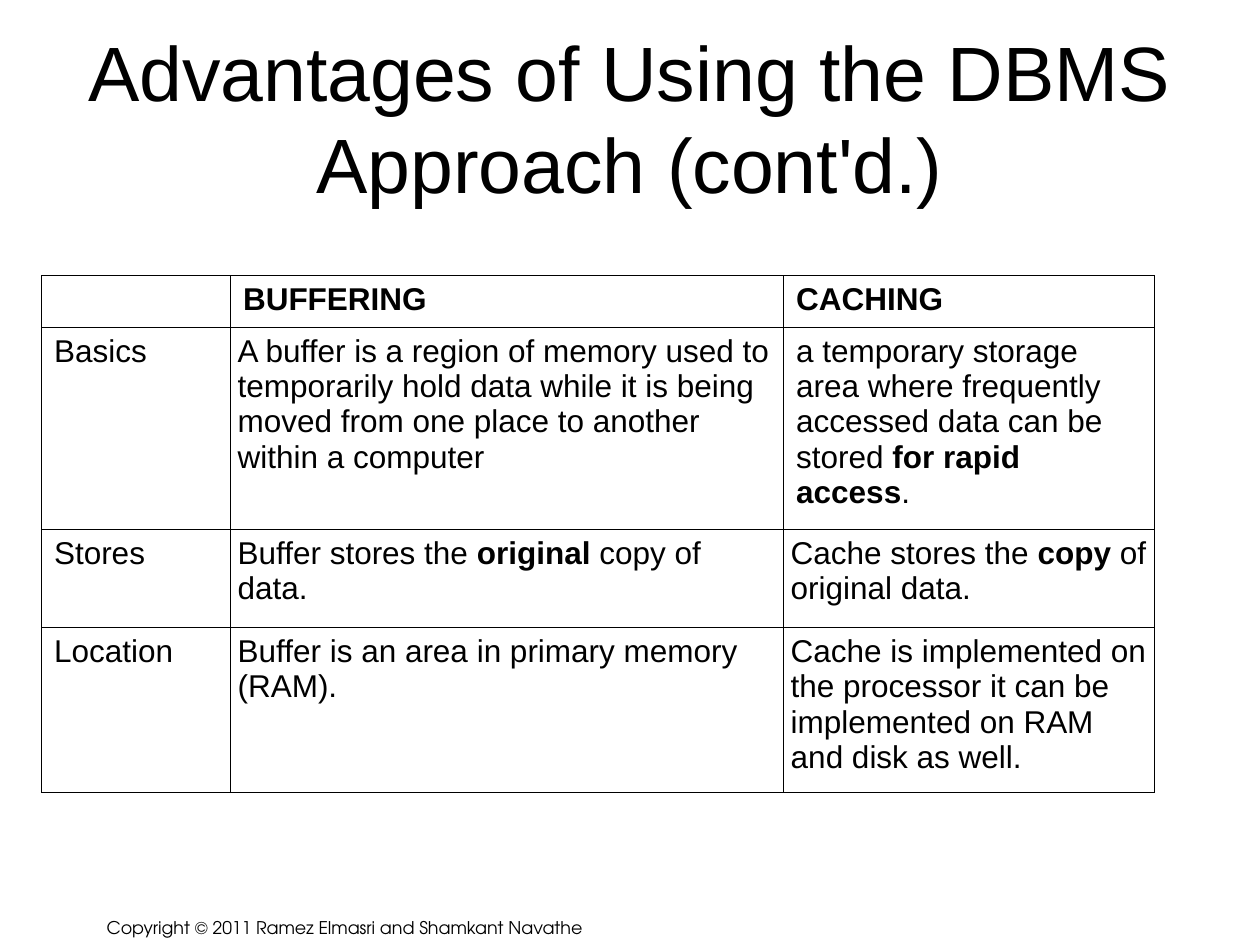
"""Build the slide that compares buffering with caching."""
from lxml.etree import SubElement
from pptx import Presentation
from pptx.dml.color import RGBColor
from pptx.enum.text import MSO_ANCHOR as Anchor, PP_ALIGN as Align
from pptx.oxml.ns import qn
from pptx.util import Cm, Pt

COLORS = {"text": "000000", "border": "000000", "page": "FFFFFF"}


def write_text(frame, text, size=18, font="Arial", bold=False, align=Align.LEFT,
               anchor=Anchor.TOP, side=0.25, edge=0.13):
    frame.word_wrap = True
    frame.vertical_anchor = anchor
    frame.margin_left = frame.margin_right = Cm(side)
    frame.margin_top = frame.margin_bottom = Cm(edge)
    para = frame.paragraphs[0]
    para.alignment = align
    for index, part in enumerate(text.split("**")):
        if part:
            span = para.add_run()
            span.text = part
            span.font.name = font
            span.font.size = Pt(size)
            span.font.bold = bold or index % 2 == 1
            span.font.color.rgb = RGBColor.from_string(COLORS["text"])


def add_borders(cell, width=0.45):
    properties = cell._tc.get_or_add_tcPr()
    for side in ("lnL", "lnR", "lnT", "lnB"):
        line = SubElement(properties, qn(f"a:{side}"), w=str(Pt(width)))
        fill = SubElement(line, qn("a:solidFill"))
        SubElement(fill, qn("a:srgbClr"), val=COLORS["border"])


deck = Presentation()
deck.slide_width, deck.slide_height = Cm(25.4), Cm(19.05)
page = deck.slides.add_slide(deck.slide_layouts[6])
page.background.fill.solid()
page.background.fill.fore_color.rgb = RGBColor.from_string(COLORS["page"])

copyright_box = page.shapes.add_textbox(Cm(1.9), Cm(18.21), Cm(18.19), Cm(0.84))
write_text(copyright_box.text_frame, "Copyright © 2011 Ramez Elmasri and Shamkant Navathe",
           size=10, font="TeX Gyre Adventor", anchor=Anchor.BOTTOM)

title_box = page.shapes.add_textbox(Cm(1.27), Cm(0.76), Cm(22.86), Cm(3.18))
write_text(title_box.text_frame, "Advantages of Using the DBMS Approach (cont'd.)",
           size=44, align=Align.CENTER, anchor=Anchor.MIDDLE, side=0, edge=0)

ROWS = [
    ("", "BUFFERING", "CACHING"),
    ("Basics",
     "A buffer is a region of memory used to temporarily hold data while it is "
     "being moved from one place to another within a computer",
     "a temporary storage area where frequently accessed data can be stored "
     "**for rapid access**."),
    ("Stores",
     "Buffer stores the **original** copy of data.",
     "Cache stores the **copy** of original data."),
    ("Location",
     "Buffer is an area in primary memory (RAM).",
     "Cache is implemented on the processor it can be implemented on RAM "
     "and disk as well."),
]
COLUMN_WIDTHS = [3.81, 11.15, 7.47]
ROW_HEIGHTS = [1.04, 4.06, 1.98, 3.33]
WIDE_MARGIN_CELLS = {(0, 1), (0, 2), (1, 2)}

table = page.shapes.add_table(
    len(ROWS), len(COLUMN_WIDTHS), Cm(0.84), Cm(5.56),
    Cm(sum(COLUMN_WIDTHS)), Cm(sum(ROW_HEIGHTS))).table
table.first_row = table.horz_banding = False
for column, width in zip(table.columns, COLUMN_WIDTHS):
    column.width = Cm(width)
for row_index, (texts, height) in enumerate(zip(ROWS, ROW_HEIGHTS)):
    table.rows[row_index].height = Cm(height)
    for column_index, text in enumerate(texts):
        cell = table.cell(row_index, column_index)
        wide = column_index == 0 or (row_index, column_index) in WIDE_MARGIN_CELLS
        side = 0.25 if wide else 0.14
        add_borders(cell)
        cell.fill.background()
        cell.margin_left = cell.margin_right = Cm(side)
        cell.margin_top = cell.margin_bottom = Cm(0.13)
        write_text(cell.text_frame, text, bold=row_index == 0, side=side)

deck.save("out.pptx")
